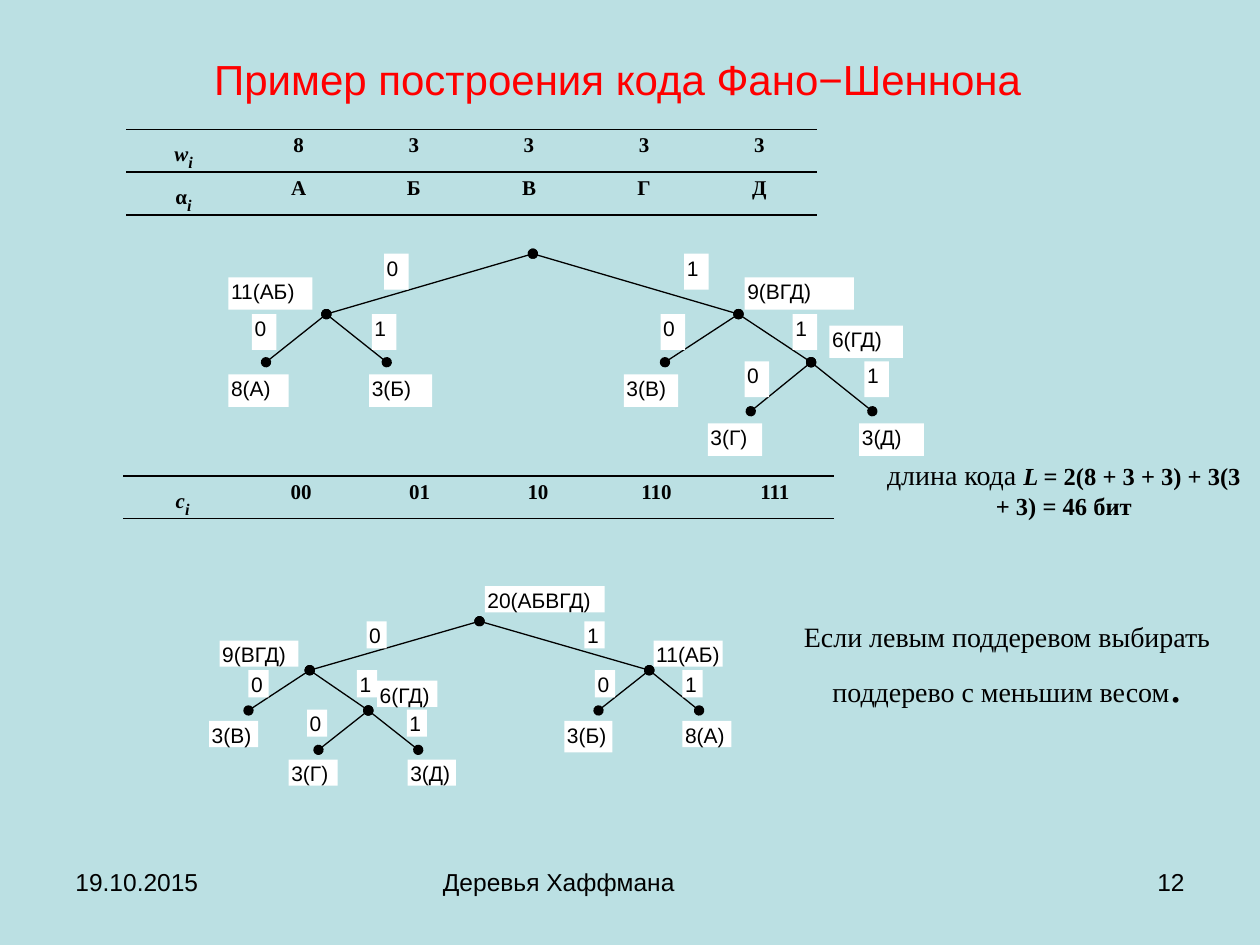
from lxml.etree import SubElement
from pptx import Presentation
from pptx.dml.color import RGBColor
from pptx.enum.shapes import MSO_CONNECTOR, MSO_SHAPE
from pptx.enum.text import MSO_ANCHOR, PP_ALIGN
from pptx.oxml.ns import qn
from pptx.util import Pt

SANS, SERIF = "Arial", "Times New Roman"
LEFT, MID, RIGHT = PP_ALIGN.LEFT, PP_ALIGN.CENTER, PP_ALIGN.RIGHT


def rgb(code):
    return RGBColor.from_string(code)


def write(para, text, size, face=SANS, bold=False, slant=False, color="000000"):
    """Add one formatted run to the paragraph."""
    run = para.add_run()
    run.text = text
    font = run.font
    font.size, font.name, font.bold, font.italic = Pt(size), face, bold, slant
    font.color.rgb = rgb(color)
    return run


deck = Presentation()
deck.slide_width, deck.slide_height = Pt(720), Pt(540)
slide = deck.slides.add_slide(deck.slide_layouts[5])
slide.background.fill.solid()
slide.background.fill.fore_color.rgb = rgb("BBE0E3")
shapes = slide.shapes

title = shapes.title
title.left, title.top, title.width, title.height = Pt(36), Pt(21.5), Pt(634), Pt(47)
title.text_frame.vertical_anchor = MSO_ANCHOR.MIDDLE
head = title.text_frame.paragraphs[0]
head.alignment = MID
write(head, "Пример построения кода Фано−Шеннона", 24, color="FF0000")

# Tables: left, top, column width, rows of (symbol, slanted, values)
tables = [
    (72, 74, 65.8, [("w", True, ["8", "3", "3", "3", "3"]),
                    ("α", False, ["А", "Б", "В", "Г", "Д"])]),
    (70.5, 272, 67.7, [("c", True, ["00", "01", "10", "110", "111"])]),
]
for left, top, wide, rows in tables:
    table = shapes.add_table(len(rows), 6, Pt(left), Pt(top),
                             Pt(6 * wide), Pt(24.2 * len(rows))).table
    table.first_row = table.horz_banding = False
    for r, (sign, slant, values) in enumerate(rows):
        for c, value in enumerate([sign] + values):
            cell = table.cell(r, c)
            cell.margin_left = cell.margin_right = Pt(5)
            cell.margin_top = cell.margin_bottom = 0
            para = cell.text_frame.paragraphs[0]
            para.alignment, para.line_spacing, para.space_after = MID, 1.2, Pt(3)
            write(para, value, 12, SERIF, True, slant and c == 0)
            if c == 0:
                index = write(para, "i", 16, SERIF, True, True)
                index.font._element.set("baseline", "-25000")
            props = cell._tc.get_or_add_tcPr()
            for side in ("lnL", "lnR", "lnT", "lnB"):
                edge = SubElement(props, qn("a:" + side), w="12700")
                if side in ("lnL", "lnR"):
                    SubElement(edge, qn("a:noFill"))
                else:
                    ink = SubElement(edge, qn("a:solidFill"))
                    SubElement(ink, qn("a:srgbClr"), val="000000")
            cell.fill.background()

# Trees: nodes, edges between them, bit size, bits (x, y, text),
# labels (x, y, width, height, text)
trees = [
    ({"root": (304.5, 145), "AB": (186.5, 179.5), "VGD": (422, 179.5),
      "A": (152, 207), "B": (221, 207), "V": (380, 207), "GD": (463.5, 207),
      "G": (429, 235), "D": (498.5, 235)},
     (14, 20.5),
     [(219.5, 145, "0"), (391, 145, "1"), (144, 179.5, "0"), (212.5, 179.5, "1"),
      (377.5, 179.5, "0"), (453, 179.5, "1"), (425.5, 206.5, "0"), (494, 206.5, "1")],
     [(130.5, 158.5, 48, 18.5, "11(АБ)"), (425.5, 158.5, 62.5, 18.5, "9(ВГД)"),
      (474, 186, 42, 18.5, "6(ГД)"), (130.5, 214, 34.5, 18.5, "8(А)"),
      (211, 214, 36, 18.5, "3(Б)"), (356.5, 214, 31, 18.5, "3(В)"),
      (404.5, 242, 31, 18.5, "3(Г)"), (491, 242, 37, 18.5, "3(Д)")]),
    ({"root": (274, 355), "AB": (371, 383), "VGD": (177, 383),
      "A": (399.5, 406), "B": (342, 406), "V": (142, 406), "GD": (210.5, 406),
      "G": (182, 428.5), "D": (239, 428.5)},
     (11.5, 15.5),
     [(209.5, 355, "0"), (334, 355, "1"), (142, 383, "0"), (204, 383, "1"),
      (340, 383, "0"), (390, 383, "1"), (175.5, 405.5, "0"), (232.5, 405.5, "1")],
     [(277, 335, 68.5, 15, "20(АБВГД)"), (125.5, 366, 45, 15, "9(ВГД)"),
      (373.5, 366, 39.5, 15, "11(АБ)"), (215.5, 389, 34.5, 15, "6(ГД)"),
      (119.5, 412, 28, 15, "3(В)"), (322.5, 412, 27.5, 18, "3(Б)"),
      (390, 412, 28, 15, "8(А)"), (165, 434, 28, 15, "3(Г)"),
      (233, 434, 27.5, 15, "3(Д)")]),
]
edges = [("root", "AB"), ("root", "VGD"), ("AB", "A"), ("AB", "B"),
         ("VGD", "V"), ("VGD", "GD"), ("GD", "G"), ("GD", "D")]
for nodes, (wide, high), bits, labels in trees:
    for start, end in edges:
        spots = [Pt(v) for v in nodes[start] + nodes[end]]
        line = shapes.add_connector(MSO_CONNECTOR.STRAIGHT, *spots)
        line.line.color.rgb = rgb("000000")
        line.line.width = Pt(0.75)
        stroke = line.line._get_or_add_ln()
        for tip in ("headEnd", "tailEnd"):
            SubElement(stroke, qn("a:" + tip), type="oval")
        SubElement(line._element.spPr, qn("a:effectLst"))
    for x, y, w, h, text in labels + [(x, y, wide, high, bit) for x, y, bit in bits]:
        box = shapes.add_shape(MSO_SHAPE.RECTANGLE, Pt(x), Pt(y), Pt(w), Pt(h))
        box.shadow.inherit = False
        box.fill.solid()
        box.fill.fore_color.rgb = rgb("FFFFFF")
        box.line.fill.background()
        frame = box.text_frame
        frame.margin_left, frame.margin_right = Pt(1.5), 0
        frame.margin_top = frame.margin_bottom = Pt(0.75)
        frame.vertical_anchor = MSO_ANCHOR.TOP
        frame.paragraphs[0].alignment = LEFT
        write(frame.paragraphs[0], text, 12)

# Notes and footer: place, alignment, runs
texts = [
    ((496, 258, 224, 44), MID,
     [("длина кода ", 16, SERIF), ("L ", 14, SERIF, True, True),
      ("= 2(8 + 3 + 3) + 3(3 + 3) = 46 бит", 14, SERIF, True)]),
    ((442, 350.5, 267, 60.5), MID,
     [("Если левым поддеревом выбирать поддерево с меньшим весом", 16, SERIF),
      (".", 28, SERIF)]),
    ((36, 492, 168, 37.5), LEFT, [("19.10.2015", 14)]),
    ((246, 492, 228, 37.5), LEFT, [("Деревья Хаффмана", 14)]),
    ((516, 492, 168, 37.5), RIGHT, [("12", 14)]),
]
for place, align, runs in texts:
    frame = shapes.add_textbox(*[Pt(v) for v in place]).text_frame
    frame.word_wrap = True
    frame.paragraphs[0].alignment = align
    for run in runs:
        write(frame.paragraphs[0], *run)

deck.save("out.pptx")
